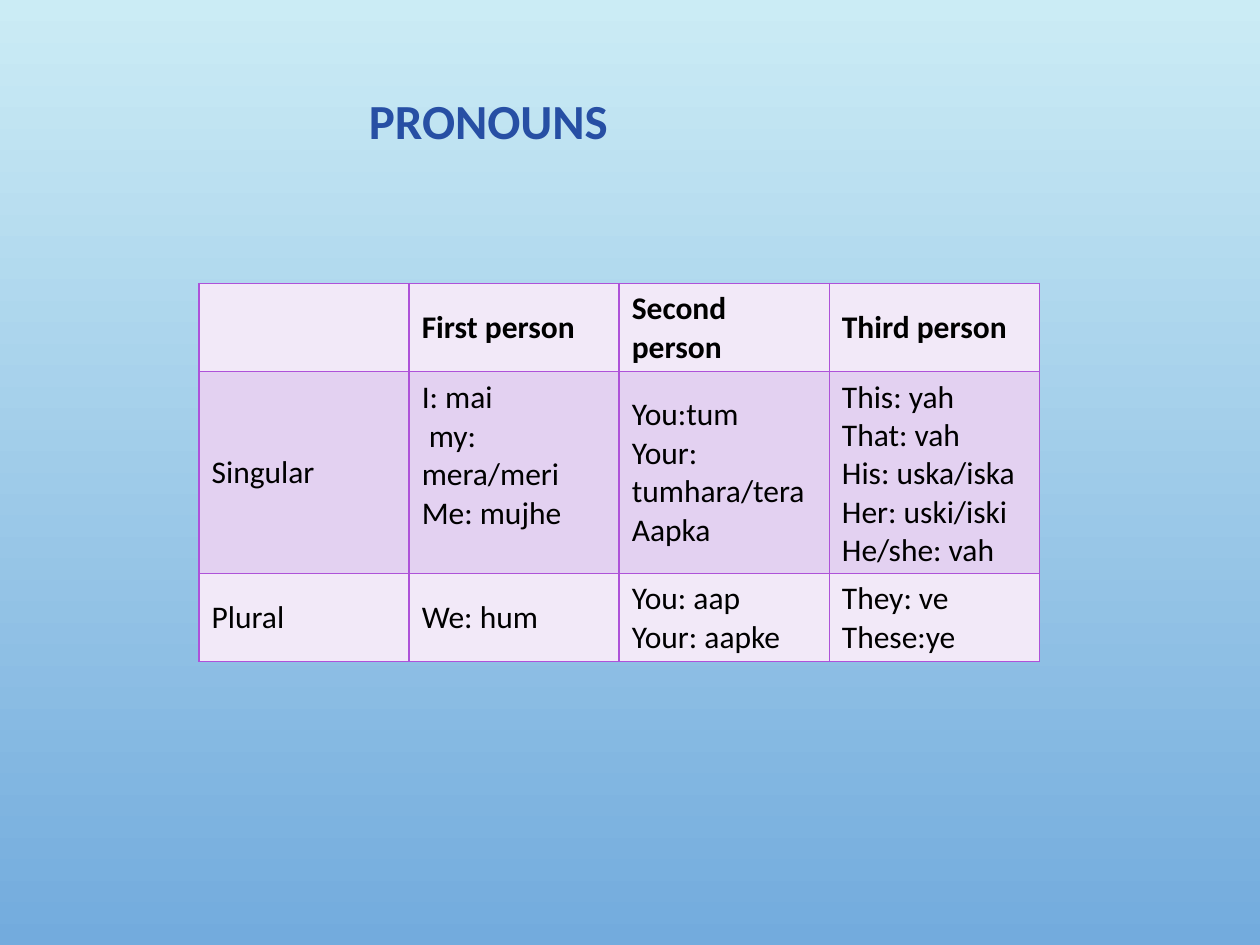
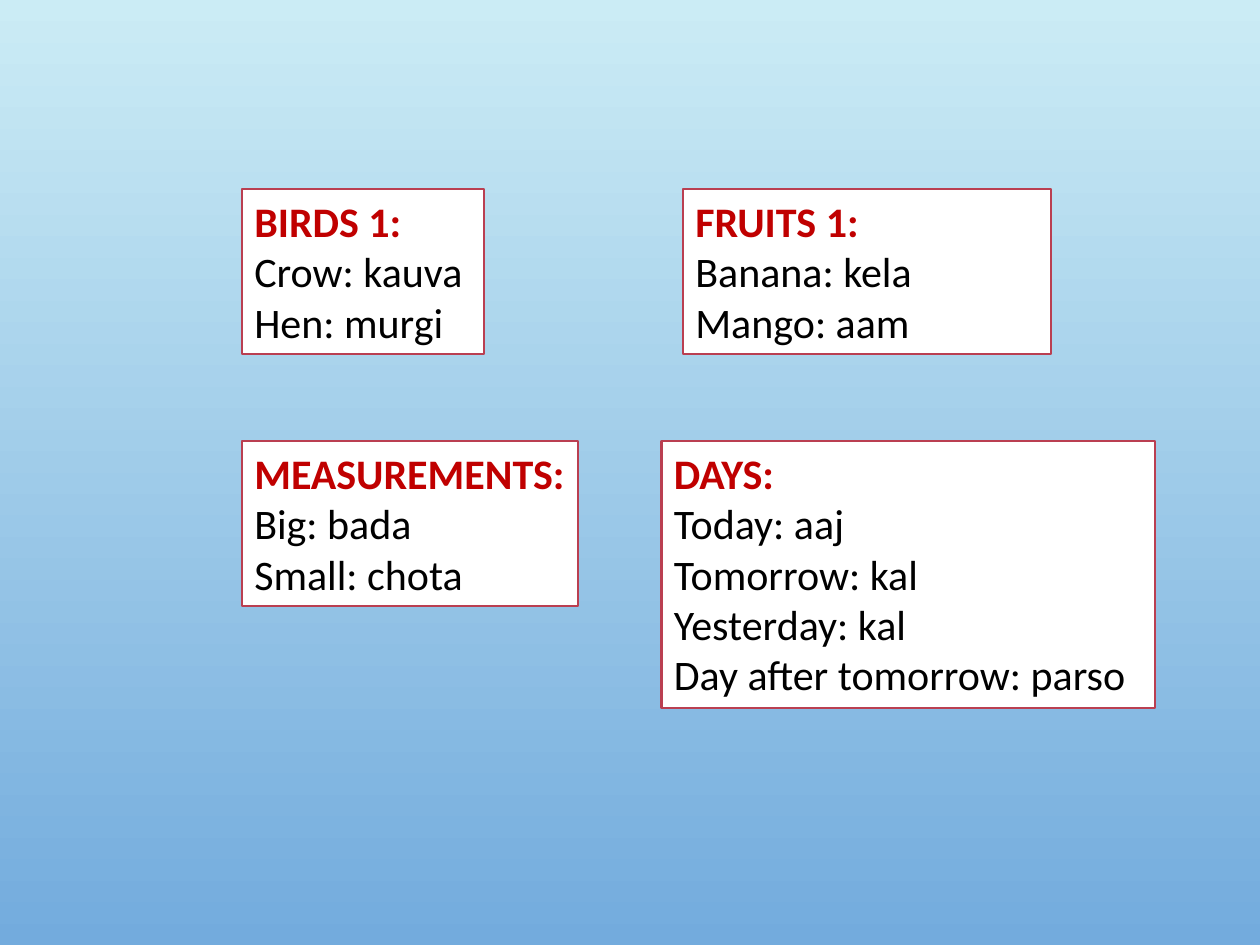
from lxml import etree
from pptx import Presentation
from pptx.dml.color import RGBColor
from pptx.enum.shapes import MSO_SHAPE
from pptx.enum.text import MSO_ANCHOR, MSO_AUTO_SIZE, PP_ALIGN
from pptx.oxml.ns import qn
from pptx.util import Inches, Pt

RECTANGLE = MSO_SHAPE.RECTANGLE
TOP, MIDDLE = MSO_ANCHOR.TOP, MSO_ANCHOR.MIDDLE
GROW = MSO_AUTO_SIZE.SHAPE_TO_FIT_TEXT
LEFT = PP_ALIGN.LEFT

COLORS = {
    "sky_top": "CBECF5",
    "sky_bottom": "73ABDD",
    "title": "274FA4",
    "text": "000000",
    "heading": "C00000",
    "card": "FFFFFF",
    "card_line": "BA3F51",
    "grid": "AE52D9",
    "light_row": "F2E9F8",
    "dark_row": "E3D1F1",
}


def rgb(name):
    return RGBColor.from_string(COLORS[name])


class Deck:
    """Holds the shared style and the slide being built."""

    font = "Calibri"

    def __init__(self):
        self.presentation = Presentation()
        self.presentation.slide_width = Inches(10)
        self.presentation.slide_height = Inches(7.5)
        self.slide = None

    def new_slide(self):
        self.slide = self.presentation.slides.add_slide(
            self.presentation.slide_layouts[6])
        sky = self.slide.background.fill
        sky.gradient()
        sky.gradient_angle = 270
        for stop, position, name in zip(
                sky.gradient_stops, (0, 1), ("sky_top", "sky_bottom")):
            stop.position = position
            stop.color.rgb = rgb(name)

    def set_lines(self, frame, lines, size, color="text", bold=False):
        """Fill a text frame with one paragraph per line."""
        frame.word_wrap = True
        for number, line in enumerate(lines):
            paragraph = frame.paragraphs[0] if number == 0 else frame.add_paragraph()
            paragraph.text = line
            paragraph.alignment = LEFT
            font = paragraph.font
            font.name, font.size, font.bold = self.font, Pt(size), bold
            font.color.rgb = rgb(color)

    def title(self, text, left, top, width, height):
        box = self.slide.shapes.add_textbox(
            Inches(left), Inches(top), Inches(width), Inches(height))
        self.set_lines(box.text_frame, [text], 28, "title", bold=True)
        box.text_frame.auto_size = GROW

    def card(self, heading, words, left, top, width, height):
        """Draw a white word list under a red heading."""
        card = self.slide.shapes.add_shape(
            RECTANGLE, Inches(left), Inches(top), Inches(width), Inches(height))
        card.shadow.inherit = False
        card.fill.solid()
        card.fill.fore_color.rgb = rgb("card")
        card.line.color.rgb = rgb("card_line")
        card.line.width = Pt(1.25)
        frame = card.text_frame
        self.set_lines(frame, [heading, *words], 24)
        heading_font = frame.paragraphs[0].font
        heading_font.bold = True
        heading_font.color.rgb = rgb("heading")
        frame.vertical_anchor = TOP
        frame.margin_right = Inches(0.05)
        frame.auto_size = GROW

    def border(self, cell):
        properties = cell._tc.get_or_add_tcPr()
        for position, side in enumerate(("a:lnL", "a:lnR", "a:lnT", "a:lnB")):
            line = etree.Element(qn(side), w=str(Pt(1)))
            fill = etree.SubElement(line, qn("a:solidFill"))
            etree.SubElement(fill, qn("a:srgbClr"), val=COLORS["grid"])
            properties.insert(position, line)

    def table(self, rows, left, top, width, heights):
        """Draw a banded table; each cell is a list of lines."""
        table = self.slide.shapes.add_table(
            len(rows), len(rows[0]), Inches(left), Inches(top),
            Inches(width), Inches(sum(heights))).table
        table.first_row = table.horz_banding = False
        for row_number, (row, height) in enumerate(zip(rows, heights)):
            table.rows[row_number].height = Inches(height)
            for column_number, lines in enumerate(row):
                cell = table.cell(row_number, column_number)
                cell.vertical_anchor = MIDDLE
                cell.fill.solid()
                cell.fill.fore_color.rgb = rgb(
                    "dark_row" if row_number % 2 else "light_row")
                self.border(cell)
                self.set_lines(cell.text_frame, lines, 18, bold=row_number == 0)
        return table


def pronouns(deck):
    deck.new_slide()
    deck.title("PRONOUNS", 2.83, 0.67, 3.08, 0.57)
    rows = [
        [[], ["First person"], ["Second person"], ["Third person"]],
        [["Singular"],
         ["I: mai", " my: mera/meri", "Me: mujhe"],
         ["You:tum", "Your: tumhara/tera", "Aapka"],
         ["This: yah", "That: vah", "His: uska/iska", "Her: uski/iski",
          "He/she: vah"]],
        [["Plural"], ["We: hum"], ["You: aap", "Your: aapke"],
         ["They: ve", "These:ye"]],
    ]
    table = deck.table(rows, 1.58, 2.25, 6.67, (0.7, 1.6, 0.7))
    # The first-person forms sit slightly above the middle of their row.
    table.cell(1, 1).margin_bottom = Inches(0.32)


def word_lists(deck):
    deck.new_slide()
    upper, lower = 1.5, 3.5
    deck.card("BIRDS 1:", ["Crow: kauva", "Hen: murgi"],
              1.92, upper, 1.92, 1.31)
    deck.card("FRUITS 1:", ["Banana: kela", "Mango: aam"],
              5.42, upper, 2.92, 1.31)
    deck.card("MEASUREMENTS:", ["Big: bada", "Small: chota"],
              1.92, lower, 2.67, 1.31)
    deck.card("DAYS:", ["Today: aaj", "Tomorrow: kal", "Yesterday: kal",
                        "Day after tomorrow: parso"],
              5.25, lower, 3.92, 2.12)


def main():
    deck = Deck()
    pronouns(deck)
    word_lists(deck)
    deck.presentation.save("out.pptx")


if __name__ == "__main__":
    main()
